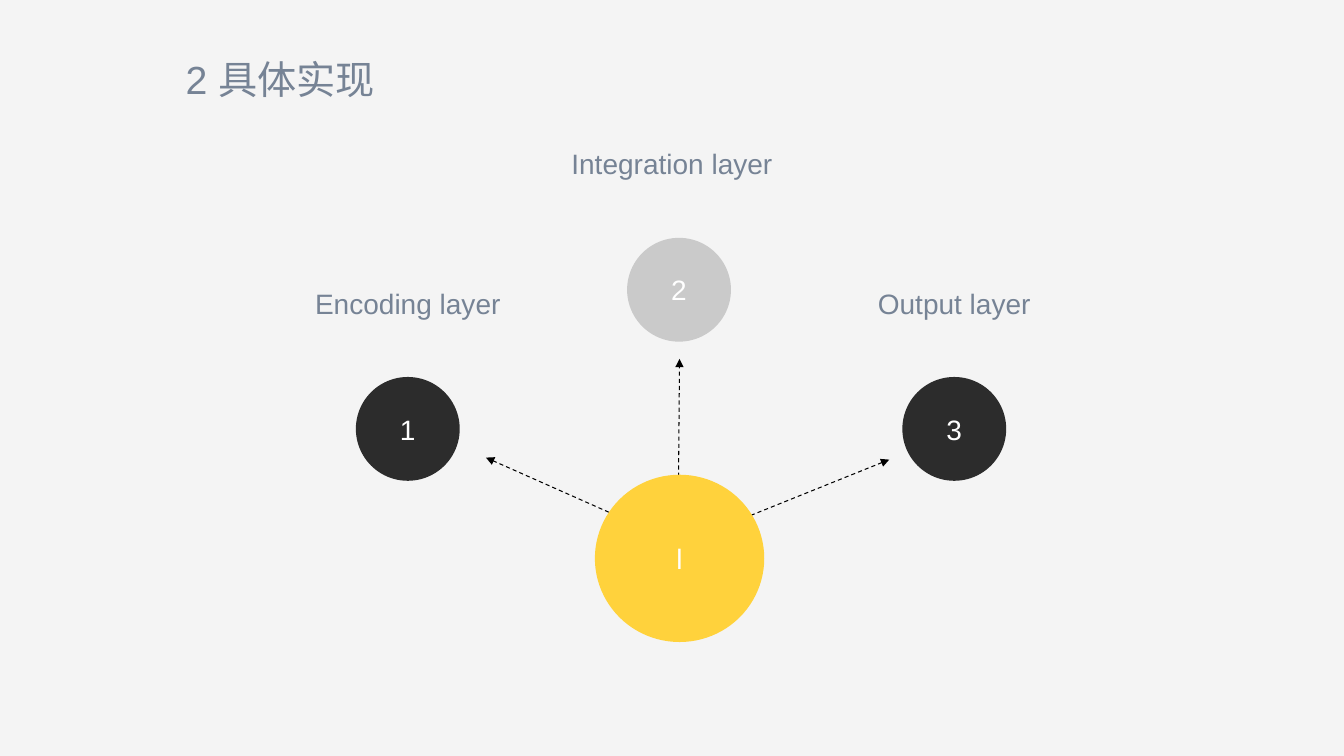
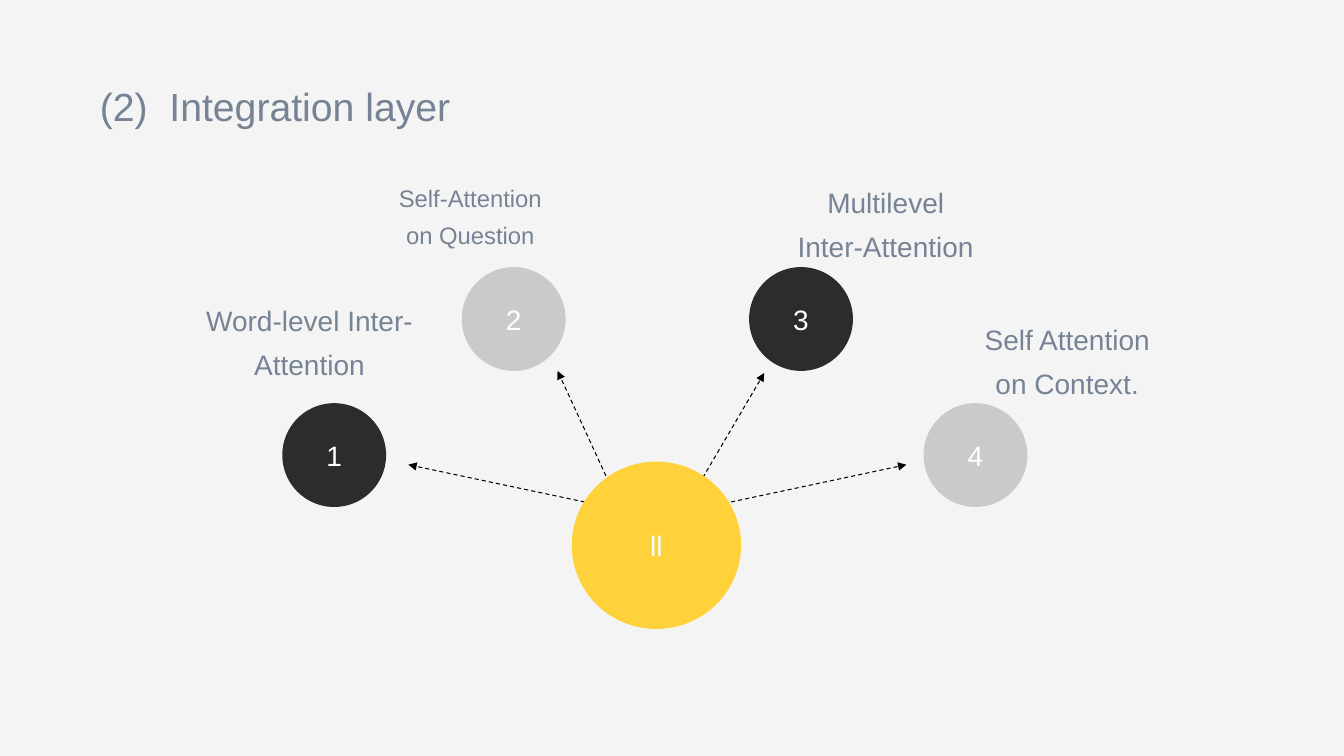
"""Build two hub-and-spoke slides about the layers of a model."""
import pptx
import pptx.dml.color
import pptx.enum.dml
import pptx.enum.shapes
import pptx.enum.text
import pptx.oxml
import pptx.oxml.ns
import pptx.util
from lxml import etree

RGBColor = pptx.dml.color.RGBColor
PAPER = RGBColor(0xF4, 0xF4, 0xF4)
SLATE = RGBColor(0x76, 0x83, 0x95)
DARK = RGBColor(0x2C, 0x2C, 0x2C)
GREY = RGBColor(0xCA, 0xCA, 0xCA)
YELLOW = RGBColor(0xFF, 0xD2, 0x3C)
WHITE = RGBColor(0xFF, 0xFF, 0xFF)
BLACK = RGBColor(0, 0, 0)

FONT = "Arial"
PX = pptx.util.Inches(1) // 100
SLIDE_SIZE = (1333, 750)
HUB_SIZE = (168, 166)
NODE_SIZE = (103, 103)
LABEL_HEIGHT = 95
TITLE_SIZE = 28
TEXT_SIZE = 20
LABEL_SPACING = 1.3
ALIGN = pptx.enum.text.PP_ALIGN
ANCHOR = pptx.enum.text.MSO_ANCHOR

SLIDES = [
    {
        "title": "2 具体实现",
        "title_box": (174, 50, 300, 57),
        "title_spacing": 1.0,
        "hub": ("l", 590, 471),
        "spokes": [
            {"node": (353, 374), "arrow": (617, 514, 482, 454),
             "label": "Encoding layer", "label_at": (289, 269, 231)},
            {"node": (622, 236), "arrow": (673, 473, 674, 356),
             "label": "Integration layer", "label_at": (551, 130, 231)},
            {"node": (895, 374), "arrow": (738, 514, 882, 456),
             "label": "Output layer", "label_at": (831, 269, 231)},
        ],
    },
    {
        "title": "(2)  Integration layer",
        "title_box": (89, 63, 400, 71),
        "title_spacing": LABEL_SPACING,
        "hub": ("ll", 567, 458),
        "spokes": [
            {"node": (280, 400), "arrow": (594, 501, 405, 461),
             "label": "Word-level Inter-Attention", "label_at": (190, 286, 234)},
            {"node": (458, 265), "arrow": (607, 485, 553, 368),
             "label": "Self-Attention on Question", "label_at": (372, 169, 189),
             "size": 17},
            {"node": (743, 265), "arrow": (697, 474, 758, 370),
             "label": "Multilevel Inter-Attention", "label_at": (778, 169, 201)},
            {"node": (916, 400), "arrow": (711, 501, 899, 461),
             "label": "Self Attention on Context.", "label_at": (953, 305, 211)},
        ],
    },
]


def emu(*lengths):
    return [length * PX for length in lengths]


def write(frame, text, size, color, align, spacing=1.0, anchor=ANCHOR.TOP, wrap=True):
    frame.word_wrap = wrap
    frame.auto_size = pptx.enum.text.MSO_AUTO_SIZE.NONE
    frame.vertical_anchor = anchor
    paragraph = frame.paragraphs[0]
    paragraph.alignment = align
    paragraph.line_spacing = spacing
    run = paragraph.add_run()
    run.text = text
    run.font.name = FONT
    run.font.size = pptx.util.Pt(size)
    run.font.color.rgb = color


def add_title(slide, text, box, spacing):
    title = slide.shapes.title
    title.left, title.top, title.width, title.height = emu(*box)
    write(title.text_frame, text, TITLE_SIZE, SLATE, ALIGN.LEFT, spacing)


def add_arrow(slide, ends):
    arrow = slide.shapes.add_connector(
        pptx.enum.shapes.MSO_CONNECTOR.STRAIGHT, *emu(*ends))
    arrow.line.color.rgb = BLACK
    arrow.line.width = pptx.util.Pt(0.75)
    arrow.line.dash_style = pptx.enum.dml.MSO_LINE.DASH
    properties = arrow._element.spPr
    outline = properties.find(pptx.oxml.ns.qn("a:ln"))
    etree.SubElement(outline, pptx.oxml.ns.qn("a:tailEnd"), type="triangle")
    etree.SubElement(properties, pptx.oxml.ns.qn("a:effectLst"))


def add_circle(slide, text, place, size, color):
    circle = slide.shapes.add_shape(
        pptx.enum.shapes.MSO_SHAPE.OVAL, *emu(*place, *size))
    circle.shadow.inherit = False
    circle.fill.solid()
    circle.fill.fore_color.rgb = color
    circle.line.fill.background()
    frame = circle.text_frame
    frame.margin_left = frame.margin_right = frame.margin_top = frame.margin_bottom = 0
    write(frame, text, TEXT_SIZE, WHITE, ALIGN.CENTER, anchor=ANCHOR.MIDDLE, wrap=False)


def add_label(slide, text, place, size):
    label = slide.shapes.add_textbox(*emu(*place, LABEL_HEIGHT))
    write(label.text_frame, text, size, SLATE, ALIGN.CENTER, LABEL_SPACING)


def add_hub_slide(deck, layout, content):
    slide = deck.slides.add_slide(layout)
    add_title(slide, content["title"], content["title_box"], content["title_spacing"])
    for spoke in content["spokes"]:
        add_arrow(slide, spoke["arrow"])
    for number, spoke in enumerate(content["spokes"], 1):
        color = DARK if number % 2 else GREY
        add_circle(slide, str(number), spoke["node"], NODE_SIZE, color)
        add_label(slide, spoke["label"], spoke["label_at"], spoke.get("size", TEXT_SIZE))
    numeral, *place = content["hub"]
    add_circle(slide, numeral, place, HUB_SIZE, YELLOW)


def main():
    deck = pptx.Presentation()
    deck.slide_width, deck.slide_height = emu(*SLIDE_SIZE)
    backdrop = deck.slide_master.background.fill
    backdrop.solid()
    backdrop.fore_color.rgb = PAPER
    title_only = deck.slide_layouts.get_by_name("Title Only")
    for content in SLIDES:
        add_hub_slide(deck, title_only, content)
    deck.save("out.pptx")


if __name__ == "__main__":
    main()
